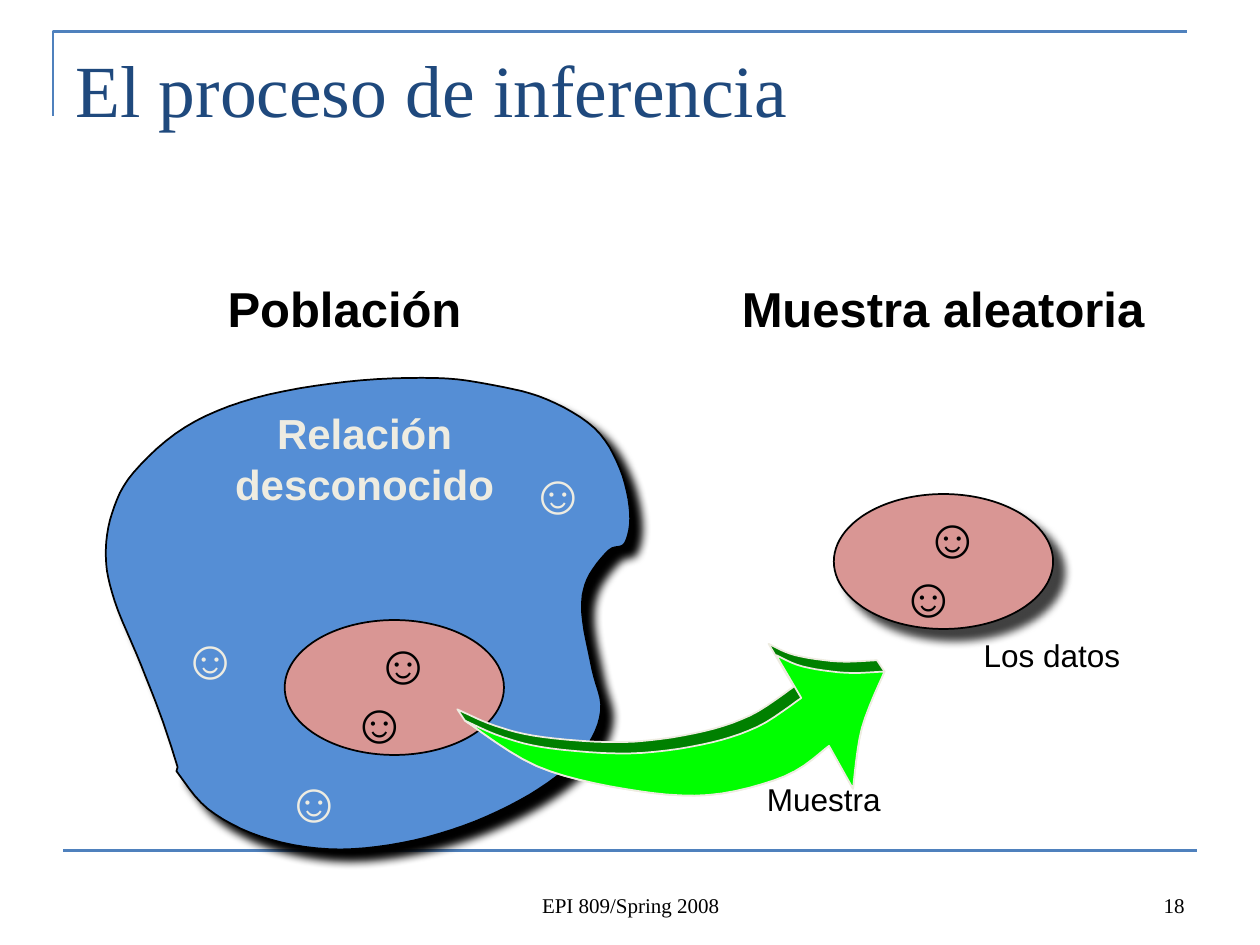
from lxml import etree
from pptx import Presentation
from pptx.dml.color import RGBColor
from pptx.enum.shapes import MSO_CONNECTOR, MSO_SHAPE
from pptx.enum.text import MSO_ANCHOR, MSO_AUTO_SIZE, PP_ALIGN
from pptx.oxml.ns import qn
from pptx.util import Cm, Pt

LEFT, CENTER, RIGHT = PP_ALIGN.LEFT, PP_ALIGN.CENTER, PP_ALIGN.RIGHT
TOP, BOTTOM = MSO_ANCHOR.TOP, MSO_ANCHOR.BOTTOM
FIT, FIXED = MSO_AUTO_SIZE.SHAPE_TO_FIT_TEXT, MSO_AUTO_SIZE.NONE
OVAL, STRAIGHT = MSO_SHAPE.OVAL, MSO_CONNECTOR.STRAIGHT

THEME = {
    "colors": {
        "rule": "4F81BD", "title": "1F497D", "ink": "000000", "pale": "EEECE1",
        "population": "558ED5", "sample": "D99694",
        "arrow": "00FF00", "arrow_edge": "008000",
    },
    "fonts": {
        "title": {"name": "Times New Roman", "size": Pt(42), "bold": False},
        "footer": {"name": "Times New Roman", "size": Pt(12), "bold": False},
        "heading": {"name": "Arial", "size": Pt(28), "bold": True},
        "inside": {"name": "Arial", "size": Pt(24), "bold": True},
        "face": {"name": "Arial", "size": Pt(32), "bold": True},
        "label": {"name": "Arial", "size": Pt(18), "bold": False},
    },
}
COLORS = {k: RGBColor.from_string(v) for k, v in THEME["colors"].items()}


def smooth(anchors, steps=6):
    """Return points on a Catmull-Rom curve that passes through the anchors."""
    padded = [anchors[0], *anchors, anchors[-1]]
    points = [anchors[0]]
    for a, b, c, d in zip(padded, padded[1:], padded[2:], padded[3:]):
        for t in (i / steps for i in range(1, steps + 1)):
            points.append(tuple(
                b[k] + t * (c[k] - a[k]) / 2
                + t**2 * (2 * a[k] - 5 * b[k] + 4 * c[k] - d[k]) / 2
                + t**3 * (3 * b[k] - a[k] - 3 * c[k] + d[k]) / 2
                for k in (0, 1)))
    return points


def add_text(text, box, font, color="ink", align=LEFT, anchor=TOP, wrap=True, fit=FIT):
    tf = s.shapes.add_textbox(*map(Cm, box)).text_frame
    frame = {"word_wrap": wrap, "auto_size": fit, "vertical_anchor": anchor}
    for name, value in frame.items():
        setattr(tf, name, value)
    p = tf.paragraphs[0]
    p.alignment = align
    r = p.add_run()
    r.text = text
    for name, value in THEME["fonts"][font].items():
        setattr(r.font, name, value)
    r.font.color.rgb = COLORS[color]


prs = Presentation()
prs.slide_width, prs.slide_height = Cm(25.4), Cm(19.05)
s = prs.slides.add_slide(prs.slide_layouts[6])

# Rule at the foot
rule = s.shapes.add_connector(STRAIGHT, Cm(1.27), Cm(17.15), Cm(24.13), Cm(17.15))
rule.line.color.rgb = COLORS["rule"]
rule.line.width = Pt(1.5)
etree.SubElement(rule._element.spPr, qn("a:effectLst"))

# Outlines are in hundredths of an inch
frame_corner = [(42, 92), (42, 25), (942, 25)]

# Population: one curve per side, from the dent at lower left and back to it
bottom_side = [(140, 612), (165, 642), (207, 664), (261, 674), (319, 669), (377, 652),
               (428, 626), (463, 596)]
right_bay = [(477, 564), (470, 531), (462, 487), (466, 460), (483, 437), (496, 431)]
top_side = [(500, 407), (492, 372), (472, 340), (434, 317), (393, 306), (345, 300),
            (275, 303), (202, 316), (147, 339)]
left_side = [(106, 375), (89, 407), (84, 442), (91, 477), (112, 528), (129, 572), (141, 609)]
population = smooth(bottom_side + right_bay + top_side + left_side)

# Arrow: the lower half runs from tail to tip, the upper half from tip to tail
tail, tip = (369, 572), (702, 533)
belly = smooth([tail, (426, 608), (495, 626), (562, 631), (623, 616), (658, 592)])
head_front = smooth([(677, 626), (684, 578), tip])
head_back = smooth([tip, (671, 534), (637, 529), (616, 520)])
shaft_top = smooth([(636, 554), (601, 577), (557, 591), (500, 598), (437, 594), (399, 585), tail])
lower, upper = belly + head_front, head_back + shaft_top

# The dark edge lifts the upper half up and to the left, which gives thickness
lift_x, lift_y = -6, -9
lifted = [(x + lift_x, y + lift_y) for x, y in upper]

# Freeforms: points, closed, style (fill, line, line width, shadow opacity)
arrow = s.shapes.add_group_shape()
styled = []
for shapes, points, closed, style in [
    (s.shapes, frame_corner, False, (None, "rule", 1.5, None)),
    (s.shapes, population, True, ("population", "ink", 1, 100)),
    (arrow.shapes, lower + lifted, True, ("arrow_edge", "pale", 1, None)),
    (arrow.shapes, lower + upper, True, ("arrow", "pale", 1, None)),
]:
    fine = [(10 * x, 10 * y) for x, y in points]
    builder = shapes.build_freeform(*fine[0], scale=Cm(2.54) / 1000)
    builder.add_line_segments(fine[1:], close=closed)
    styled.append((builder.convert_to_shape(), style))

# Sample: inside the population, and drawn apart with a shadow
sample_inside, sample_apart = (5.74, 12.5), (16.81, 9.96)
for (left, top), shadow in [(sample_apart, 75), (sample_inside, None)]:
    sp = s.shapes.add_shape(OVAL, Cm(left), Cm(top), Cm(4.42), Cm(2.72))
    styled.append((sp, ("sample", "ink", 1, shadow)))

# The arrow lies over the ovals
s.shapes._spTree.append(arrow._element)

# Fill, line and shadow of every shape
for sp, (fill, line, width, shadow) in styled:
    sp.shadow.inherit = False
    if fill:
        sp.fill.solid()
        sp.fill.fore_color.rgb = COLORS[fill]
    else:
        sp.fill.background()
    sp.line.color.rgb = COLORS[line]
    sp.line.width = Pt(width)
    if shadow:
        effects = sp._element.spPr.find(qn("a:effectLst"))
        outer = etree.SubElement(effects, qn("a:outerShdw"), blurRad=str(Pt(5)),
                                 dist=str(Pt(8.5)), dir="2700000", rotWithShape="0")
        color = etree.SubElement(outer, qn("a:srgbClr"), val=THEME["colors"]["ink"])
        etree.SubElement(color, qn("a:alpha"), val=str(shadow * 1000))

# Title and footer
add_text("El proceso de inferencia", (1.27, 0.76, 22.86, 3.18), "title", "title", fit=FIXED)
for text, left, width, align in [
    ("EPI 809/Spring 2008", 8.69, 8.05, CENTER),
    ("18", 18.21, 5.92, RIGHT),
]:
    add_text(text, (left, 17.35, width, 1.27), "footer", align=align, anchor=BOTTOM, fit=FIXED)

# Headings and labels
add_text("Población", (4.34, 5.49, 5.72, 1.42), "heading")
add_text("Muestra aleatoria", (14.68, 5.49, 8.66, 1.42), "heading", align=CENTER)
add_text("Relación desconocido", (4.34, 8.1, 6.02, 2.31), "inside", "pale", CENTER)
add_text("Los datos", (19.58, 12.7, 3.3, 1.02), "label", wrap=False)
add_text("Muestra", (15.21, 15.6, 2.82, 1.02), "label", wrap=False)

# Individuals: pale outside the sample, the same dark pair in each oval
faces = [(3.35, 12.45, "pale"), (10.36, 9.12, "pale"), (5.44, 15.32, "pale")]
for left, top in (sample_inside, sample_apart):
    for dx, dy in [(1.5, 0.05), (1.02, 1.24)]:
        faces.append((left + dx, top + dy, "ink"))
for left, top, color in faces:
    add_text("☺", (left, top, 1.78, 1.6), "face", color, CENTER, wrap=False)

prs.save("out.pptx")
